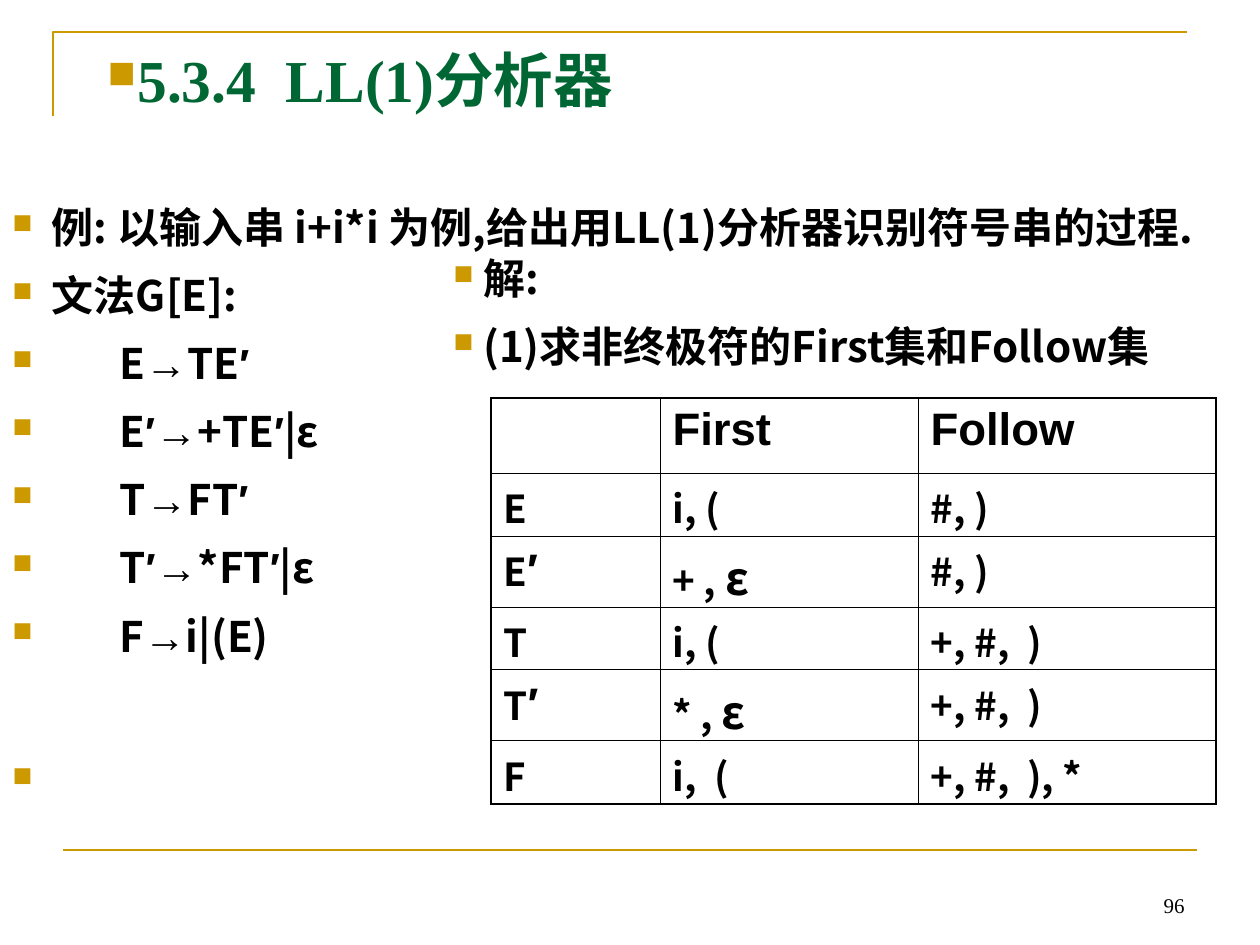
"""Slide on the LL(1) parser: grammar, First and Follow sets."""
from itertools import groupby
from lxml import etree
from pptx import Presentation
from pptx import util as u
from pptx.dml.color import RGBColor
from pptx.enum import shapes, text
from pptx.oxml.ns import qn

PX = 914400 // 126
COLORS = {"gold": "CC9900", "green": "006633", "black": "000000"}
SANS, ARIAL, SERIF = "Noto Sans CJK SC", "Arial", "Times New Roman"

TITLE = "5.3.4  LL(1)分析器"
TASK = [" 例: 以输入串 i+i*i 为例,给出用LL(1)分析器识别符号串的过程.", " 文法G[E]:"]
GRAMMAR = ["E→TE′", "E′→+TE′|ε", "T→FT′", "T′→*FT′|ε", "F→i|(E)"]
ANSWER = ["解:", "(1)求非终极符的First集和Follow集"]
ROWS = [
    ("", "First", "Follow"),
    ("E", "i, (", "#, )"),
    ("E′", "+ , ε", "#, )"),
    ("T", "i, (", "+, #,  )"),
    ("T′", "* , ε", "+, #,  )"),
    ("F", "i,  (", "+, #,  ), *"),
]
COL_WIDTHS = [169, 258, 298]
ROW_HEIGHTS = [75, 63, 71, 63, 71, 63]
HANG, RULE_HANG = 30, 107
SPACING = 0.83


def px(n):
    return u.Emu(n * PX)


def rgb(name):
    return RGBColor.from_string(COLORS[name])


def write(p, content, size=24, font=SANS, color="black", bold=True, big="", big_size=26,
          hang=0, before=0, spacing=None, align=None):
    if hang:
        pPr = p._p.get_or_add_pPr()
        pPr.set("marL", str(px(hang)))
        pPr.set("indent", str(-px(hang)))
        clr = etree.SubElement(pPr, qn("a:buClr"))
        etree.SubElement(clr, qn("a:srgbClr"), val=COLORS["gold"])
        etree.SubElement(pPr, qn("a:buSzPct"), val="65000")
        etree.SubElement(pPr, qn("a:buChar"), char="■")
    p.space_before = u.Pt(before)
    p.alignment = align
    if spacing:
        p.line_spacing = spacing
    for (symbol, large), chars in groupby(content, lambda c: (c in "→′", c in big)):
        r = p.add_run()
        r.text = "".join(chars)
        r.font.size = u.Pt(big_size if large else size)
        r.font.bold = bold
        r.font.color.rgb = rgb(color)
        r.font.name = ARIAL if symbol else font
        etree.SubElement(r._r.get_or_add_rPr(), qn("a:ea"), typeface=ARIAL if symbol else SANS)


def add_box(s, x, y, w, h, items, anchor=text.MSO_ANCHOR.TOP):
    tf = s.shapes.add_textbox(px(x), px(y), px(w), px(h)).text_frame
    tf.word_wrap = True
    tf.vertical_anchor = anchor
    for i, (content, fmt) in enumerate(items):
        p = tf.add_paragraph() if i else tf.paragraphs[0]
        write(p, content, **fmt)


def add_rules(s):
    fb = s.shapes.build_freeform(px(53), px(116))
    fb.add_line_segments([(px(53), px(32)), (px(1187), px(32))], close=False)
    corner = fb.convert_to_shape()
    corner.fill.background()
    corner.shadow.inherit = False
    footer = s.shapes.add_connector(shapes.MSO_CONNECTOR.STRAIGHT, px(63), px(850), px(1197), px(850))
    etree.SubElement(footer._element.spPr, qn("a:effectLst"))
    for sp in (corner, footer):
        sp.line.color.rgb = rgb("gold")
        sp.line.width = u.Pt(1.5)


def set_border(cell, side, width):
    ln = etree.SubElement(cell._tc.get_or_add_tcPr(), qn("a:ln" + side), w=str(u.Pt(width)))
    fill = etree.SubElement(ln, qn("a:solidFill"))
    etree.SubElement(fill, qn("a:srgbClr"), val=COLORS["black"])


def add_sets_table(s):
    n, m = len(ROWS), len(COL_WIDTHS)
    table = s.shapes.add_table(n, m, px(491), px(398), px(sum(COL_WIDTHS)), px(sum(ROW_HEIGHTS))).table
    for col, w in zip(table.columns, COL_WIDTHS):
        col.width = px(w)
    for row, h in zip(table.rows, ROW_HEIGHTS):
        row.height = px(h)
    for i, values in enumerate(ROWS):
        for j, value in enumerate(values):
            cell = table.cell(i, j)
            cell.margin_left = cell.margin_right = u.Inches(0.1)
            cell.margin_top, cell.margin_bottom = u.Inches(0.05), 0
            outer = {"L": j == 0, "R": j == m - 1, "T": i == 0, "B": i == n - 1}
            for side, edge in outer.items():
                set_border(cell, side, 1.08 if edge else 0.45)
            cell.fill.background()
            fmt = {"size": 22, "big": "′ε"} if i else {"size": 26, "font": ARIAL}
            write(cell.text_frame.paragraphs[0], value, **fmt)


def main():
    prs = Presentation()
    prs.slide_width, prs.slide_height = px(1260), px(945)
    s = prs.slides.add_slide(prs.slide_layouts[6])
    add_rules(s)
    add_box(s, 903, 861, 294, 63,
            [("96", {"size": 12, "font": SERIF, "bold": False, "align": text.PP_ALIGN.RIGHT})],
            text.MSO_ANCHOR.BOTTOM)
    line = {"hang": HANG, "spacing": SPACING}
    item = {**line, "before": 15}
    rule = {**item, "hang": RULE_HANG}
    add_box(s, 0, 204, 1245, 727,
            [(TASK[0], line), (TASK[1], item)]
            + [(g, rule) for g in GRAMMAR]
            + [(" ", {**item, "before": 59})])
    add_box(s, 441, 255, 794, 190, [(ANSWER[0], line), (ANSWER[1], item)])
    add_sets_table(s)
    add_box(s, 95, 45, 1081, 89,
            [(TITLE, {"size": 34, "font": SERIF, "color": "green", "hang": HANG, "spacing": 0.9})])
    prs.save("out.pptx")


if __name__ == "__main__":
    main()
